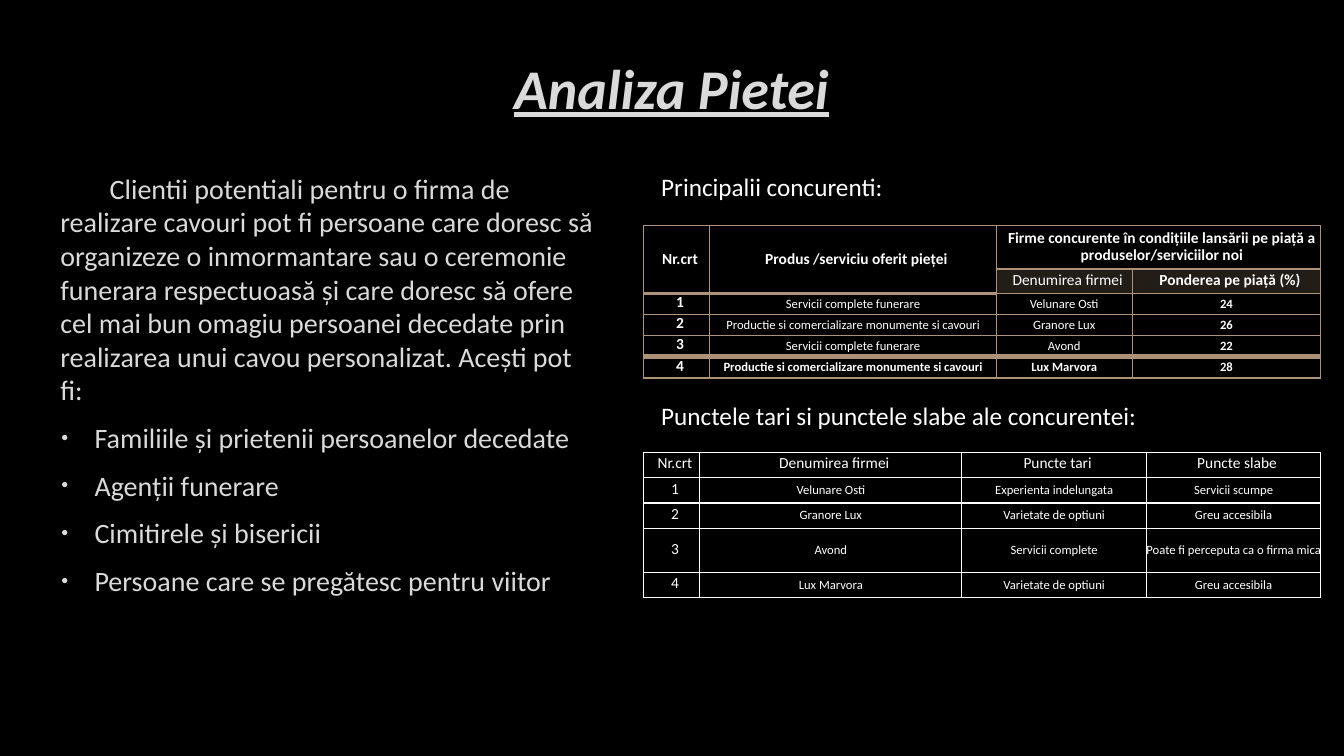
from dataclasses import dataclass, field

from lxml.etree import SubElement
from pptx import Presentation
from pptx.dml.color import RGBColor
from pptx.enum.lang import MSO_LANGUAGE_ID
from pptx.enum.text import MSO_ANCHOR, MSO_AUTO_SIZE, PP_ALIGN
from pptx.oxml.ns import qn
from pptx.slide import Slide
from pptx.table import _Cell
from pptx.text.text import _Paragraph
from pptx.util import Inches, Pt


@dataclass(frozen=True)
class Theme:
    font: str = "Calibri"
    background: str = "000000"
    soft: str = "DADADA"
    white: str = "FFFFFF"
    bronze: str = "AD9277"
    outline: str = "404040"
    title: int = 40
    body: int = 20
    caption: int = 18
    label: int = 11
    detail: int = 9


@dataclass(frozen=True)
class Caption:
    text: str
    top: float


@dataclass(frozen=True)
class Grid:
    top: float
    columns: list[float]
    heights: list[float]
    rows: list[list[str]]
    line_color: str
    line_spacing: list[float]
    header_rows: int = 1
    merges: list[tuple[int, int, int, int]] = field(default_factory=list)
    heavy_edges: dict[tuple[int, str], int] = field(default_factory=dict)
    bold: set[tuple[int, int]] = field(default_factory=set)
    tinted: set[tuple[int, int]] = field(default_factory=set)


THEME = Theme()
GRID_LEFT = 6.38
CAPTION_LEFT = 6.46

INTRO = (
    "Clientii potentiali pentru o firma de realizare cavouri pot fi persoane care doresc "
    "să organizeze o inmormantare sau o ceremonie funerara respectuoasă și care doresc "
    "să ofere cel mai bun omagiu persoanei decedate prin realizarea unui cavou "
    "personalizat. Acești pot fi:"
)
CLIENTS = [
    "Familiile și prietenii persoanelor decedate",
    "Agenții funerare",
    "Cimitirele și bisericii",
    "Persoane care se pregătesc pentru viitor",
]
CAPTIONS = [
    Caption("Principalii concurenti:", 1.65),
    Caption("Punctele tari si punctele slabe ale concurentei:", 3.92),
]
FIRMS = ["Velunare Osti", "Granore Lux", "Avond", "Lux Marvora"]
SERVICES = "Servicii complete funerare"
MONUMENTS = "Productie si comercializare monumente si cavouri"

COMPETITORS = Grid(
    top=2.24,
    columns=[0.66, 2.84, 1.35, 1.87],
    heights=[0.43, 0.24] + [0.21] * 4,
    rows=[
        ["Nr.crt", "Produs /serviciu oferit pieţei",
         "Firme concurente în condiţiile lansării pe piaţă a produselor/serviciilor noi", ""],
        ["", "", "Denumirea firmei", "Ponderea pe piaţă (%)"],
        ["1", SERVICES, FIRMS[0], "24"],
        ["2", MONUMENTS, FIRMS[1], "26"],
        ["3", SERVICES, FIRMS[2], "22"],
        ["4", MONUMENTS, FIRMS[3], "28"],
    ],
    line_color=THEME.bronze,
    line_spacing=[12.6, 12.2] + [11.3] * 4,
    header_rows=2,
    merges=[(0, 0, 1, 0), (0, 1, 1, 1), (0, 2, 0, 3)],
    heavy_edges={(0, "B"): 2, (4, "B"): 4, (5, "T"): 4},
    bold={(row, column) for row in range(6) for column in range(4)
          if row in (0, 5) or column in (0, 3)},
    tinted={(1, 2), (1, 3)},
)
STRENGTHS = Grid(
    top=4.49,
    columns=[0.56, 2.6, 1.83, 1.73],
    heights=[0.25, 0.25, 0.25, 0.44, 0.25],
    rows=[
        ["Nr.crt", "Denumirea firmei", "Puncte tari", "Puncte slabe"],
        ["1", FIRMS[0], "Experienta indelungata", "Servicii scumpe"],
        ["2", FIRMS[1], "Varietate de optiuni", "Greu accesibila"],
        ["3", FIRMS[2], "Servicii complete", "Poate fi perceputa ca o firma mica"],
        ["4", FIRMS[3], "Varietate de optiuni", "Greu accesibila"],
    ],
    line_color=THEME.white,
    line_spacing=[11.3] * 5,
)


def style(paragraph: _Paragraph, size: int, color: str, bold: bool = False) -> None:
    font = paragraph.font
    font.name, font.size, font.bold = THEME.font, Pt(size), bold
    font.language_id = MSO_LANGUAGE_ID.ROMANIAN
    font.color.rgb = RGBColor.from_string(color)


def indent(paragraph: _Paragraph, left: float, first: float = 0) -> None:
    properties = paragraph._p.get_or_add_pPr()
    properties.set("marL", str(Inches(left)))
    properties.set("indent", str(Inches(first)))


def add_color(parent, color: str, opacity: int = 100) -> None:
    fill = SubElement(parent, qn("a:solidFill"))
    value = SubElement(fill, qn("a:srgbClr"), val=color)
    if opacity < 100:
        SubElement(value, qn("a:alpha"), val=str(opacity * 1000))


def outline(paragraph: _Paragraph) -> None:
    for run in paragraph.runs:
        line = SubElement(run._r.get_or_add_rPr(), qn("a:ln"), w=str(Pt(0.75)))
        add_color(line, THEME.outline, 10)


def add_bullet(paragraph: _Paragraph) -> None:
    properties = paragraph._p.get_or_add_pPr()
    color = SubElement(properties, qn("a:buClr"))
    SubElement(color, qn("a:srgbClr"), val=THEME.soft)
    SubElement(properties, qn("a:buSzPct"), val="70000")
    SubElement(properties, qn("a:buFont"), typeface="Arial")
    SubElement(properties, qn("a:buChar"), char="•")


def draw_title(slide: Slide) -> None:
    title = slide.shapes.title
    title.left, title.top = Inches(1), Inches(0.33)
    title.width, title.height = Inches(11.32), Inches(1.06)
    title.text_frame.text = "Analiza Pietei"
    title.text_frame.vertical_anchor = MSO_ANCHOR.MIDDLE
    heading = title.text_frame.paragraphs[0]
    heading.alignment = PP_ALIGN.CENTER
    style(heading, THEME.title, THEME.soft, True)
    heading.font.italic = heading.font.underline = True
    outline(heading)


def draw_clients(slide: Slide) -> None:
    clients = slide.shapes.add_textbox(Inches(0.46), Inches(1.65), Inches(5.56), Inches(5.25))
    frame = clients.text_frame
    frame.word_wrap = True
    frame.text = "\n".join([INTRO, *CLIENTS])
    for position, paragraph in enumerate(frame.paragraphs):
        if position == 0:
            indent(paragraph, 0.04, 0.49)
        else:
            indent(paragraph, 0.38, -0.33)
            add_bullet(paragraph)
        paragraph.space_before, paragraph.space_after = Pt(4), Pt(6)
        style(paragraph, THEME.body, THEME.soft)
        outline(paragraph)


def draw_caption(slide: Slide, caption: Caption) -> None:
    box = slide.shapes.add_textbox(
        Inches(CAPTION_LEFT), Inches(caption.top), Inches(5.75), Inches(0.71))
    frame = box.text_frame
    frame.word_wrap = True
    frame.auto_size = MSO_AUTO_SIZE.SHAPE_TO_FIT_TEXT
    frame.text = caption.text
    style(frame.paragraphs[0], THEME.caption, THEME.white)


def draw_cell(cell: _Cell, grid: Grid, row: int, column: int) -> None:
    cell.margin_left = cell.margin_right = cell.margin_top = cell.margin_bottom = 0
    cell.vertical_anchor = MSO_ANCHOR.MIDDLE
    properties = cell._tc.get_or_add_tcPr()
    for side in "LRTB":
        width = Pt(grid.heavy_edges.get((row, side), 1))
        add_color(SubElement(properties, qn(f"a:ln{side}"), w=str(width)), grid.line_color)
    if (row, column) in grid.tinted:
        add_color(properties, THEME.bronze, 20)
    else:
        cell.fill.background()
    cell.text = grid.rows[row][column]
    entry = cell.text_frame.paragraphs[0]
    entry.alignment = PP_ALIGN.CENTER
    is_label = row < grid.header_rows or column == 0
    if is_label:
        indent(entry, 0.07)
        entry.line_spacing = Pt(grid.line_spacing[row])
    style(entry, THEME.label if is_label else THEME.detail, THEME.white,
          (row, column) in grid.bold)


def draw_grid(slide: Slide, grid: Grid) -> None:
    table = slide.shapes.add_table(
        len(grid.rows), len(grid.columns), Inches(GRID_LEFT), Inches(grid.top),
        Inches(sum(grid.columns)), Inches(sum(grid.heights))).table
    table.first_row = table.horz_banding = False
    for column, width in zip(table.columns, grid.columns):
        column.width = Inches(width)
    for row, height in zip(table.rows, grid.heights):
        row.height = Inches(height)
    for top, left, bottom, right in grid.merges:
        table.cell(top, left).merge(table.cell(bottom, right))
    for row in range(len(grid.rows)):
        for column in range(len(grid.columns)):
            draw_cell(table.cell(row, column), grid, row, column)


def main() -> None:
    presentation = Presentation()
    presentation.slide_width, presentation.slide_height = Inches(13.33), Inches(7.5)
    slide = presentation.slides.add_slide(presentation.slide_layouts[5])
    slide.background.fill.solid()
    slide.background.fill.fore_color.rgb = RGBColor.from_string(THEME.background)
    draw_title(slide)
    draw_clients(slide)
    for caption, grid in zip(CAPTIONS, [COMPETITORS, STRENGTHS]):
        draw_caption(slide, caption)
        draw_grid(slide, grid)
    presentation.save("out.pptx")


if __name__ == "__main__":
    main()
